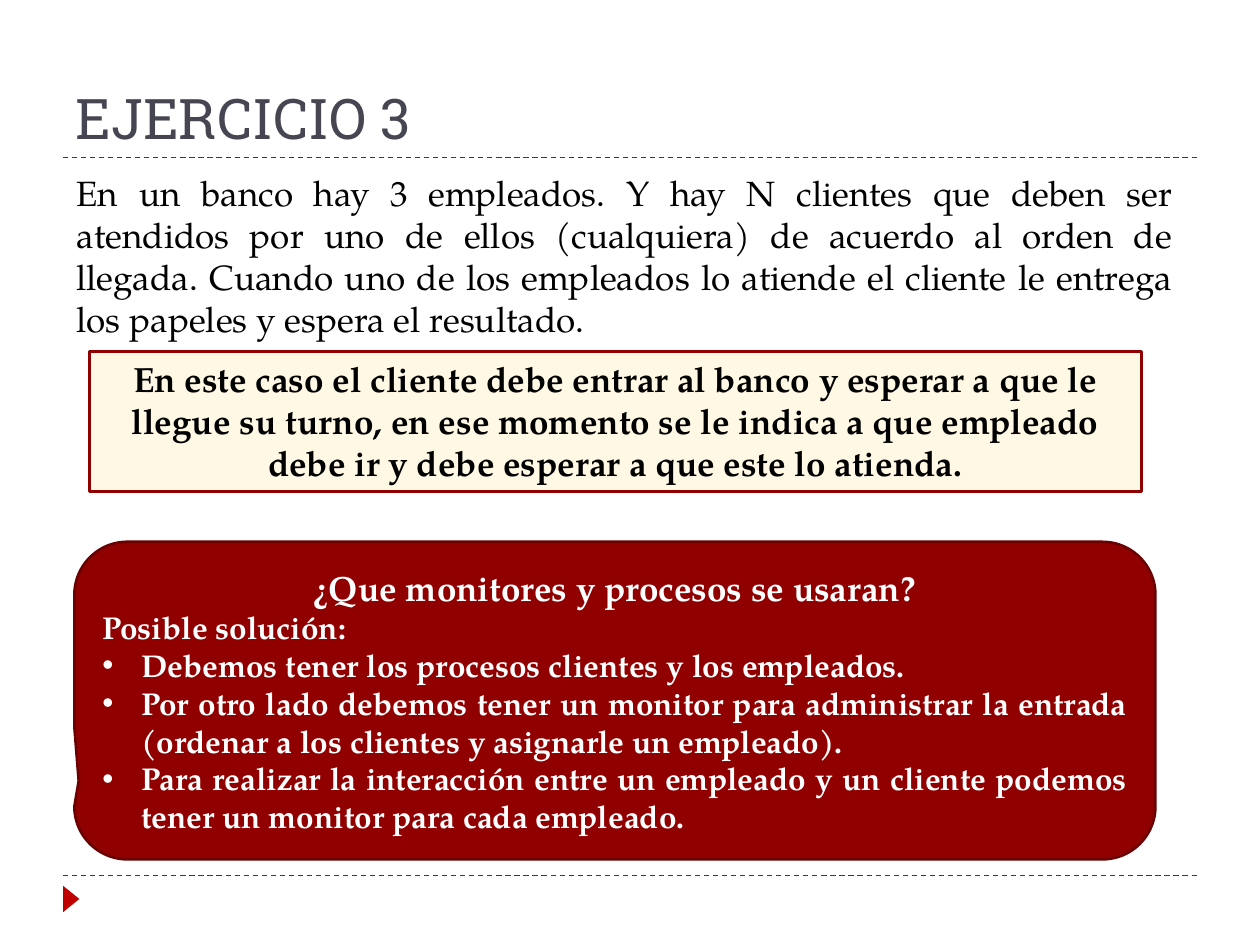
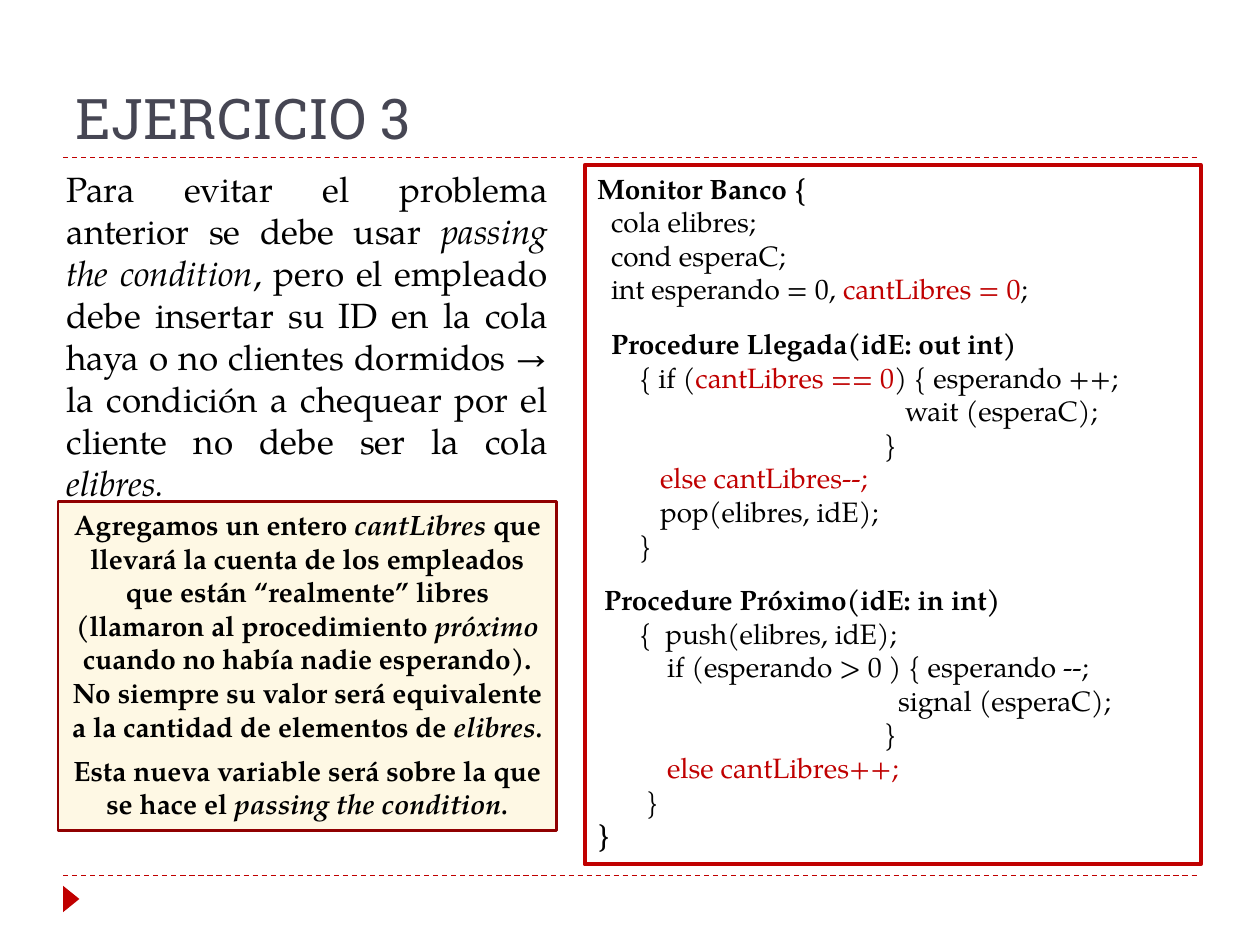
from pptx import Presentation
from pptx.dml.color import RGBColor
from pptx.enum.dml import MSO_LINE
from pptx.enum.shapes import MSO_CONNECTOR, MSO_SHAPE
from pptx.enum.text import MSO_ANCHOR, MSO_AUTO_SIZE, PP_ALIGN
from pptx.oxml.ns import qn
from pptx.util import Inches, Pt

# Shared look
RED = RGBColor(0xC0, 0x00, 0x00)
MAROON = RGBColor(0x90, 0x00, 0x00)
DARK_MAROON = RGBColor(0x6B, 0x00, 0x00)
CREAM = RGBColor(0xFE, 0xF8, 0xE4)
SLATE = RGBColor(0x46, 0x46, 0x53)
BLACK = RGBColor(0x00, 0x00, 0x00)
WHITE = RGBColor(0xFF, 0xFF, 0xFF)
TITLE_FONT, BODY_FONT = "Roboto Slab", "TeX Gyre Pagella"
W, H, MARGIN = 10, 7.5, 0.5
RULES = (1.25, 6.95)
SPACE = 0.25  # width of one code column, in ems
HANG = 0.31   # bullet indent, in inches

# Content: text between bars is accented (italic in prose, red in code)
TITLE = "EJERCICIO 3"
STATEMENT = ("En un banco hay 3 empleados. Y hay N clientes que deben ser atendidos por uno "
             "de ellos (cualquiera) de acuerdo al orden de llegada. Cuando uno de los "
             "empleados lo atiende el cliente le entrega los papeles y espera el resultado.")
TURN_NOTE = ("En este caso el cliente debe entrar al banco y esperar a que le llegue su turno, "
             "en ese momento se le indica a que empleado debe ir y debe esperar a que este "
             "lo atienda.")
QUESTION = "¿Que monitores y procesos se usaran?"
ANSWER = "Posible solución:"
ANSWER_POINTS = [
    "Debemos tener los procesos clientes y los empleados.",
    "Por otro lado debemos tener un monitor para administrar la entrada (ordenar a los "
    "clientes y asignarle un empleado).",
    "Para realizar la interacción entre un empleado y un cliente podemos tener un monitor "
    "para cada empleado.",
]
PASSING = ("Para evitar el problema anterior se debe usar |passing the condition|, pero el "
           "empleado debe insertar su ID en la cola haya o no clientes dormidos → la "
           "condición a chequear por el cliente no debe ser la cola |elibres.|")
COUNTER_NOTES = [
    "Agregamos un entero |cantLibres| que llevará la cuenta de los empleados que están "
    "“realmente” libres (llamaron al procedimiento |próximo| cuando no había nadie "
    "esperando). No siempre su valor será equivalente a la cantidad de elementos de "
    "|elibres.|",
    "Esta nueva variable será sobre la que se hace el |passing the condition.|",
]
# Code lines: (indent in columns, text, bold, points before)
CODE = [
    (0, "Monitor Banco {", True, 0),
    (2, "cola elibres;", False, 0),
    (2, "cond esperaC;", False, 0),
    (2, "int esperando = 0, |cantLibres = 0|;", False, 0),
    (2, "Procedure Llegada(idE: out int)", True, 12),
    (6, "{ if (|cantLibres == 0|) { esperando ++;", False, 0),
    (44, "wait (esperaC);", False, 0),
    (41, "}", False, 0),
    (9, "|else cantLibres--;|", False, 0),
    (9, "pop(elibres, idE);", False, 0),
    (6, "}", False, 0),
    (1, "Procedure Próximo(idE: in int)", True, 12),
    (6, "{  push(elibres, idE);", False, 0),
    (10, "if (esperando > 0 ) { esperando --;", False, 0),
    (43, "signal (esperaC);", False, 0),
    (41, "}", False, 0),
    (10, "|else cantLibres++;|", False, 0),
    (7, "}", False, 0),
    (0, "}", True, 0),
]


def place(*lengths):
    return [Inches(n) for n in lengths]


def add_box(slide, at, kind=MSO_SHAPE.RECTANGLE, fill=None, line=None, width=1.5):
    sp = slide.shapes.add_shape(kind, *place(*at))
    sp.shadow.inherit = False
    if fill is None:
        sp.fill.background()
    else:
        sp.fill.solid()
        sp.fill.fore_color.rgb = fill
    if line is None:
        sp.line.fill.background()
    else:
        sp.line.color.rgb = line
        sp.line.width = Pt(width)
    sp.text_frame.word_wrap = True
    sp.text_frame.vertical_anchor = MSO_ANCHOR.TOP
    return sp


def set_font(r, size, color, bold=False, name=BODY_FONT):
    r.font.name, r.font.size, r.font.bold = name, Pt(size), bold
    r.font.color.rgb = color


def write(tf, text, size, align, color=BLACK, bold=False, accent=None,
          before=0, left=0, bullet=False):
    """Add one paragraph; every second piece between bars is accented."""
    p = tf.paragraphs[0] if not tf.paragraphs[0].runs else tf.add_paragraph()
    p.alignment = align
    p.space_before = Pt(before)
    pPr = p._p.get_or_add_pPr()
    if left:
        pPr.set("marL", str(Inches(left)))
    if bullet:
        pPr.set("indent", str(-Inches(left)))
        pPr.append(pPr.makeelement(qn("a:buFont"), {"typeface": "Arial"}))
        pPr.append(pPr.makeelement(qn("a:buChar"), {"char": "•"}))
    for i, piece in enumerate(text.split("|")):
        if piece:
            r = p.add_run()
            r.text = piece
            marked = i % 2 == 1
            set_font(r, size, accent if marked and accent else color, bold)
            if marked and not accent:
                r.font.italic = True


def add_prose(slide, at, text):
    tf = slide.shapes.add_textbox(*place(*at)).text_frame
    tf.word_wrap = True
    tf.auto_size = MSO_AUTO_SIZE.SHAPE_TO_FIT_TEXT
    write(tf, text, 20, PP_ALIGN.JUSTIFY)


def add_note(slide, at, texts, size):
    tf = add_box(slide, at, fill=CREAM, line=MAROON).text_frame
    for text in texts:
        write(tf, text, size, PP_ALIGN.CENTER, bold=True, before=6)


def new_slide(prs):
    slide = prs.slides.add_slide(prs.slide_layouts[5])
    # Dashed rules and corner marker
    for y in RULES:
        rule = slide.shapes.add_connector(
            MSO_CONNECTOR.STRAIGHT, *place(MARGIN, y, W - MARGIN, y))
        rule.line.color.rgb = RED
        rule.line.width = Pt(0.75)
        rule.line.dash_style = MSO_LINE.DASH
        spPr = rule._element.spPr
        spPr.append(spPr.makeelement(qn("a:effectLst"), {}))
    add_box(slide, (0.46, 7.07, 0.21, 0.13), MSO_SHAPE.ISOSCELES_TRIANGLE, RED).rotation = 90
    # Title
    title = slide.shapes.title
    title.left, title.top, title.width, title.height = place(
        MARGIN, 0.17, W - 2 * MARGIN, 1.08)
    tf = title.text_frame
    tf.auto_size = MSO_AUTO_SIZE.NONE
    tf.vertical_anchor = MSO_ANCHOR.BOTTOM
    p = tf.paragraphs[0]
    p.alignment = PP_ALIGN.LEFT
    r = p.add_run()
    r.text = TITLE
    set_font(r, 32, SLATE, name=TITLE_FONT)
    return slide


prs = Presentation()
prs.slide_width, prs.slide_height = place(W, H)

# Slide 1: statement, note and proposed solution
s = new_slide(prs)
add_prose(s, (0.51, 1.31, 8.9, 1.11), STATEMENT)
add_note(s, (0.71, 2.79, 8.35, 1.11), [TURN_NOTE], 20)
callout = add_box(s, (0.59, 4.3, 8.58, 2.52), MSO_SHAPE.ROUNDED_RECTANGULAR_CALLOUT,
                  MAROON, DARK_MAROON)
for i, value in enumerate((-0.496, 0.253, 0.167)):
    callout.adjustments[i] = value
tf = callout.text_frame
tf.vertical_anchor = MSO_ANCHOR.MIDDLE
write(tf, QUESTION, 20, PP_ALIGN.CENTER, WHITE, bold=True)
write(tf, ANSWER, 18, PP_ALIGN.JUSTIFY, WHITE, bold=True)
for point in ANSWER_POINTS:
    write(tf, point, 18, PP_ALIGN.JUSTIFY, WHITE, bold=True, left=HANG, bullet=True)

# Slide 2: explanation on the left, monitor code on the right
s = new_slide(prs)
add_prose(s, (0.43, 1.28, 4.02, 2.12), PASSING)
tf = add_box(s, (4.64, 1.31, 4.89, 5.55), line=RED, width=2.25).text_frame
for columns, text, bold, before in CODE:
    write(tf, text, 16, PP_ALIGN.LEFT, bold=bold, accent=RED, before=before,
          left=columns * SPACE * 16 / 72)
add_note(s, (0.46, 3.98, 3.96, 2.61), COUNTER_NOTES, 16)

prs.save("out.pptx")
